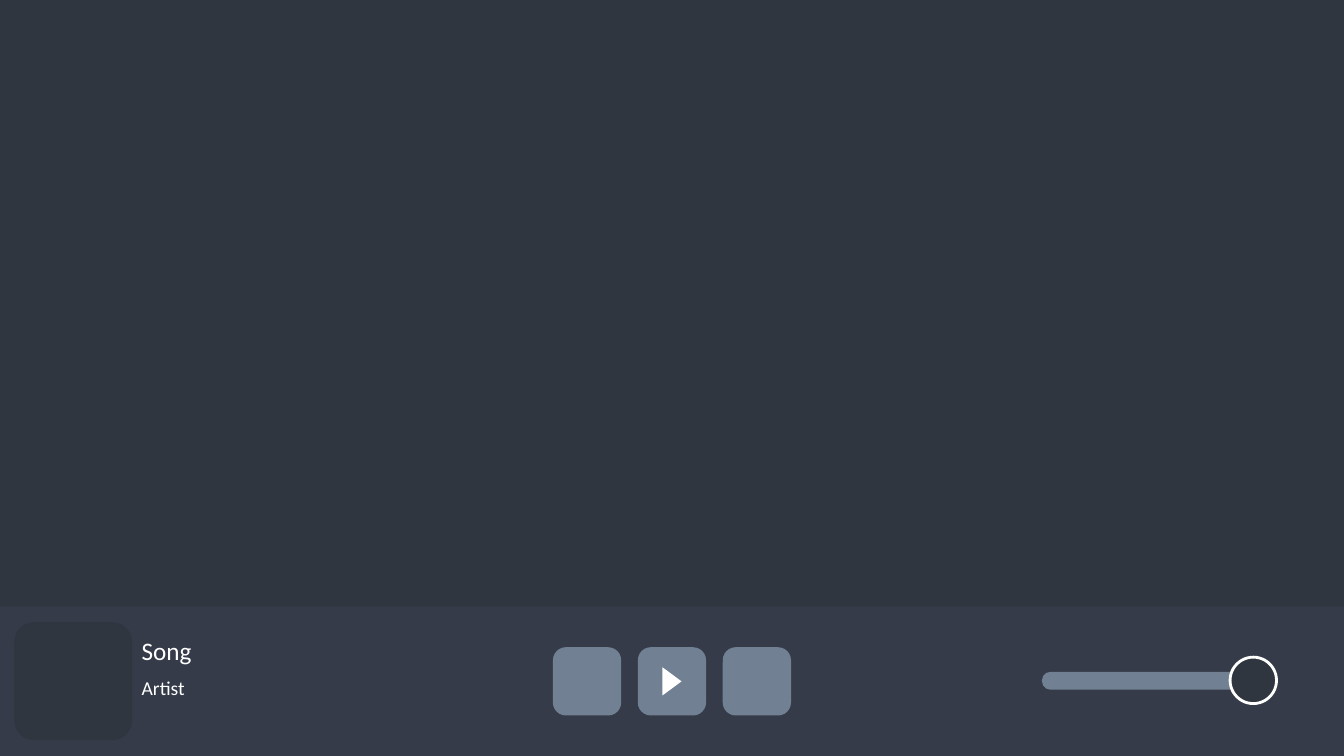
from dataclasses import dataclass
from typing import Optional

from pptx import Presentation
from pptx.dml.color import RGBColor
from pptx.enum.shapes import MSO_SHAPE as Preset
from pptx.enum.text import MSO_AUTO_SIZE as AutoSize
from pptx.util import Cm, Pt

COLORS = {
    "background": "2F3640",
    "bar": "353B48",
    "control": "718093",
    "light": "FFFFFF",
}
FONT = "Calibri"
SLIDE_WIDTH, SLIDE_HEIGHT = 33.87, 19.05
BAR_TOP = 15.28
BUTTON_SIZE, BUTTON_TOP, BUTTON_PITCH = 1.72, 16.31, 2.14
MIDDLE_BUTTON_LEFT = (SLIDE_WIDTH - BUTTON_SIZE) / 2


@dataclass
class Block:
    preset: Preset
    left: float
    top: float
    width: float
    height: float
    color: str
    corner: Optional[float] = None
    rotation: float = 0
    outline: Optional[str] = None


@dataclass
class Label:
    text: str
    top: float
    height: float
    size: int


def draw_block(slide, block: Block) -> None:
    shape = slide.shapes.add_shape(
        block.preset, Cm(block.left), Cm(block.top), Cm(block.width), Cm(block.height)
    )
    shape.shadow.inherit = False
    shape.rotation = block.rotation
    shape.fill.solid()
    shape.fill.fore_color.rgb = RGBColor.from_string(COLORS[block.color])
    if block.corner is not None:
        shape.adjustments[0] = block.corner
    if block.outline:
        shape.line.color.rgb = RGBColor.from_string(COLORS[block.outline])
        shape.line.width = Pt(2)
    else:
        shape.line.fill.background()


def draw_label(slide, label: Label) -> None:
    box = slide.shapes.add_textbox(Cm(3.32), Cm(label.top), Cm(4.19), Cm(label.height))
    frame = box.text_frame
    frame.word_wrap = True
    frame.auto_size = AutoSize.SHAPE_TO_FIT_TEXT
    frame.text = label.text
    font = frame.paragraphs[0].runs[0].font
    font.name = FONT
    font.size = Pt(label.size)
    font.color.rgb = RGBColor.from_string(COLORS["light"])


background = Block(Preset.RECTANGLE, 0, 0, SLIDE_WIDTH, SLIDE_HEIGHT, "background")
player_bar = Block(Preset.RECTANGLE, 0, BAR_TOP, SLIDE_WIDTH, SLIDE_HEIGHT - BAR_TOP, "bar")
album_cover = Block(Preset.ROUNDED_RECTANGLE, 0.36, 15.68, 2.97, 2.97, "background")
previous_button, next_button, play_button = (
    Block(Preset.ROUNDED_RECTANGLE, MIDDLE_BUTTON_LEFT + step * BUTTON_PITCH,
          BUTTON_TOP, BUTTON_SIZE, BUTTON_SIZE, "control", corner=0.19)
    for step in (-1, 1, 0)
)
play_icon = Block(Preset.ISOSCELES_TRIANGLE, 16.58, 16.93, 0.71, 0.48, "light", rotation=90)
labels = [Label("Song", 15.88, 1.02, 18), Label("Artist", 16.92, 0.86, 14)]
volume_track = Block(Preset.ROUNDED_RECTANGLE, 26.26, 16.93, 5.33, 0.45, "control",
                     corner=0.47)
volume_knob = Block(Preset.OVAL, 31, 16.56, 1.17, 1.17, "background", outline="light")

presentation = Presentation()
presentation.slide_width = Cm(SLIDE_WIDTH)
presentation.slide_height = Cm(SLIDE_HEIGHT)
slide = presentation.slides.add_slide(presentation.slide_layouts[6])

for block in (background, player_bar, album_cover, previous_button, next_button,
              play_button, play_icon):
    draw_block(slide, block)
for label in labels:
    draw_label(slide, label)
for block in (volume_track, volume_knob):
    draw_block(slide, block)

presentation.save("out.pptx")
